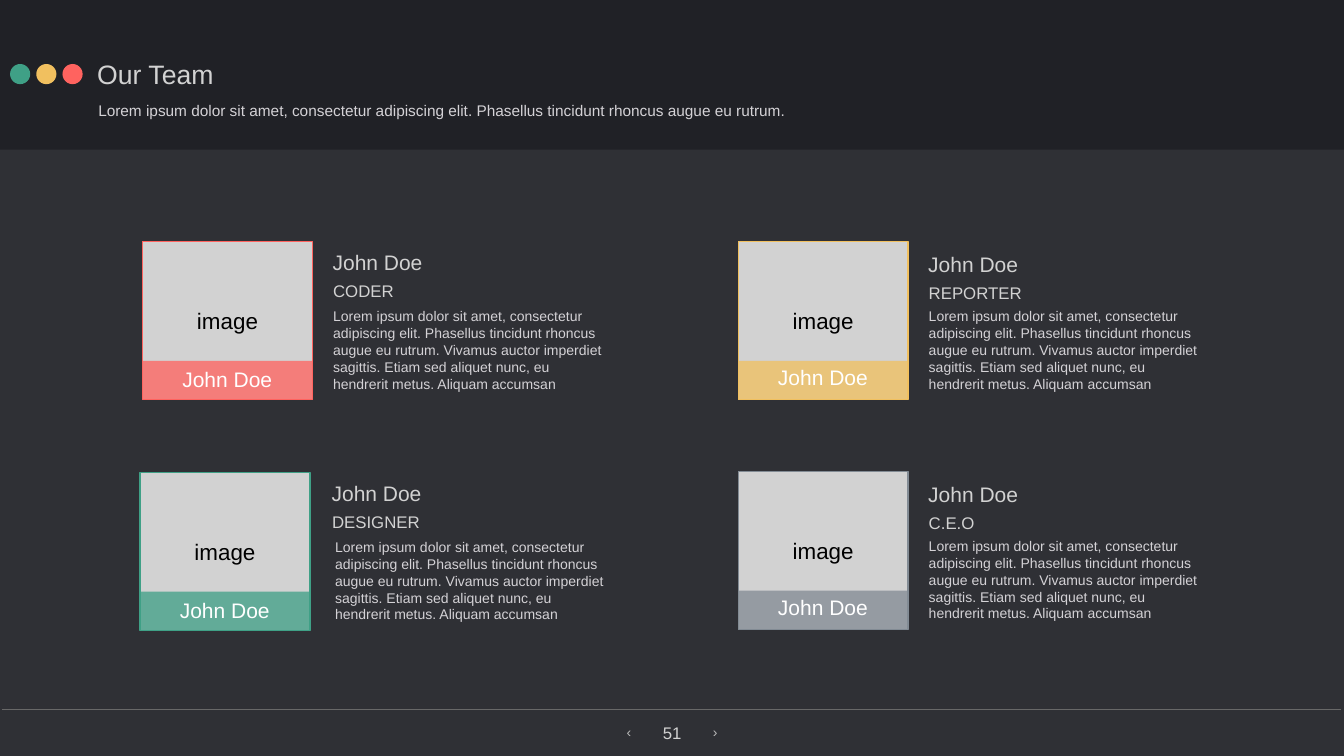
from dataclasses import dataclass

from lxml.etree import SubElement
from pptx import Presentation
from pptx.dml.color import RGBColor
from pptx.enum.shapes import MSO_CONNECTOR, MSO_SHAPE
from pptx.enum.text import MSO_ANCHOR, MSO_AUTO_SIZE, PP_ALIGN
from pptx.oxml.ns import qn
from pptx.util import Inches, Pt

BACKGROUND = RGBColor(0x2F, 0x30, 0x35)
HEADER = RGBColor(0x20, 0x21, 0x26)
RULE = RGBColor(0x68, 0x68, 0x68)
GREEN = RGBColor(0x3F, 0xA0, 0x86)
YELLOW = RGBColor(0xF1, 0xC0, 0x5F)
RED = RGBColor(0xFF, 0x63, 0x5F)
SLATE = RGBColor(0x82, 0x8B, 0x94)
LIGHT = RGBColor(0xD2, 0xD2, 0xD2)
PALE = RGBColor(0xD4, 0xD2, 0xD6)
ARROW = RGBColor(0xB9, 0xB9, 0xB9)
BLACK = RGBColor(0x00, 0x00, 0x00)
WHITE = RGBColor(0xFF, 0xFF, 0xFF)

TAGLINE = (
    "Lorem ipsum dolor sit amet, consectetur adipiscing elit. "
    "Phasellus tincidunt rhoncus augue eu rutrum."
)
BIOGRAPHY = TAGLINE + (
    " Vivamus auctor imperdiet sagittis. Etiam sed aliquet nunc, eu "
    "hendrerit metus. Aliquam accumsan"
)
NAME = "John Doe"
CENTER = PP_ALIGN.CENTER
MIDDLE = MSO_ANCHOR.MIDDLE
TOP = MSO_ANCHOR.TOP
GROW = MSO_AUTO_SIZE.SHAPE_TO_FIT_TEXT


@dataclass
class Member:
    left: float
    top: float
    role: str
    role_width: float
    color: RGBColor
    label_top: float
    name_top: float
    name_left: float = 3.71
    bio_left: float = 3.72


MEMBERS = [
    Member(2.83, 4.79, "CODER", 1.33, RED, 2.43, 0.1),
    Member(14.65, 4.79, "REPORTER", 1.97, YELLOW, 2.38, 0.15),
    Member(2.78, 9.37, "DESIGNER", 1.87, GREEN, 2.43, 0.11, 3.74, 3.81),
    Member(14.65, 9.35, "C.E.O", 1.03, SLATE, 2.38, 0.15),
]


def set_values(target, values):
    for name, value in values.items():
        setattr(target, name, value)


def write(shape, text, size, color, align=PP_ALIGN.LEFT, anchor=TOP, wrap=False,
          auto_size=GROW):
    frame = shape.text_frame
    set_values(frame, {"word_wrap": wrap, "auto_size": auto_size, "vertical_anchor": anchor})
    for side in ("left", "top", "right", "bottom"):
        setattr(frame, f"margin_{side}", Inches(0.06))
    paragraph = frame.paragraphs[0]
    set_values(paragraph, {"text": text, "alignment": align})
    font = paragraph.runs[0].font
    set_values(font, {"name": "Arial", "size": Pt(size)})
    font.color.rgb = color


def add_text(shapes, box, text, size, color, **options):
    write(shapes.add_textbox(*map(Inches, box)), text, size, color, **options)


def add_block(shapes, box, fill, line=None, kind=MSO_SHAPE.RECTANGLE, opacity=None):
    shape = shapes.add_shape(kind, *map(Inches, box))
    shape.shadow.inherit = False
    shape.fill.solid()
    shape.fill.fore_color.rgb = fill
    if line is None:
        shape.line.fill.background()
    else:
        shape.line.color.rgb = line
        shape.line.width = Pt(2)
    if opacity is not None:
        color = shape._element.spPr.find(qn("a:solidFill"))[0]
        SubElement(color, qn("a:alpha")).set("val", str(opacity * 1000))
    return shape


def add_header(slide, left, top, width, height):
    shapes = slide.shapes
    add_block(shapes, (left, top, width, height), HEADER)
    dots = shapes.add_group_shape().shapes
    for index, color in enumerate((GREEN, YELLOW, RED)):
        box = (left + 0.45 + 0.52 * index, top + 1.3, 0.4, 0.4)
        add_block(dots, box, color, kind=MSO_SHAPE.OVAL)
    add_text(shapes, (left + 2.12, top + 1.12, 2.43, 0.75), "Our Team", 38, LIGHT, anchor=MIDDLE)
    add_text(shapes, (left + 2.14, top + 1.98, 13.78, 0.47), TAGLINE, 22, PALE)


def add_member(slide, member):
    left, top, color = member.left, member.top, member.color
    shapes = slide.shapes.add_group_shape().shapes
    portrait = add_block(shapes, (left, top, 3.37, 3.14), LIGHT, color)
    centered = {"align": CENTER, "anchor": MIDDLE, "wrap": True, "auto_size": MSO_AUTO_SIZE.NONE}
    write(portrait, "image", 32, BLACK, **centered)
    add_block(shapes, (left, top + 2.37, 3.37, 0.77), color, opacity=76)
    add_text(shapes, (left + 0.66, top + member.label_top, 2.04, 0.62), NAME, 30, WHITE,
             **centered)
    name_left, name_top = left + member.name_left, top + member.name_top
    add_text(shapes, (name_left, name_top, 1.91, 0.61), NAME, 30, LIGHT)
    add_text(shapes, (name_left + 0.01, name_top + 0.61, member.role_width, 0.51),
             member.role, 24, LIGHT)
    add_text(shapes, (left + member.bio_left, top + 1.26, 5.53, 1.78), BIOGRAPHY, 20, PALE,
             wrap=True)


def add_footer(slide, left, top, width):
    shapes = slide.shapes
    rule = shapes.add_connector(MSO_CONNECTOR.STRAIGHT, Inches(left), Inches(top),
                                Inches(left + width), Inches(top))
    rule.line.color.rgb = RULE
    rule.line.width = Pt(1)
    SubElement(rule._element.spPr, qn("a:effectLst"))
    for offset, arrow in ((12.33, "‹"), (14.04, "›")):
        add_text(shapes, (left + offset, top + 0.24, 0.22, 0.44), arrow, 20, ARROW,
                 align=CENTER, anchor=MIDDLE)
    add_text(shapes, (left + 13.05, top + 0.21, 0.5, 0.51), "51", 24, LIGHT, align=CENTER)


def main():
    presentation = Presentation()
    set_values(presentation, {"slide_width": Inches(26.67), "slide_height": Inches(15)})
    slide = presentation.slides.add_slide(presentation.slide_layouts[6])
    slide.background.fill.solid()
    slide.background.fill.fore_color.rgb = BACKGROUND
    add_header(slide, -0.25, -0.03, 27.18, 3)
    add_footer(slide, 0.04, 14.07, 26.58)
    for member in MEMBERS:
        add_member(slide, member)
    presentation.save("out.pptx")


if __name__ == "__main__":
    main()
